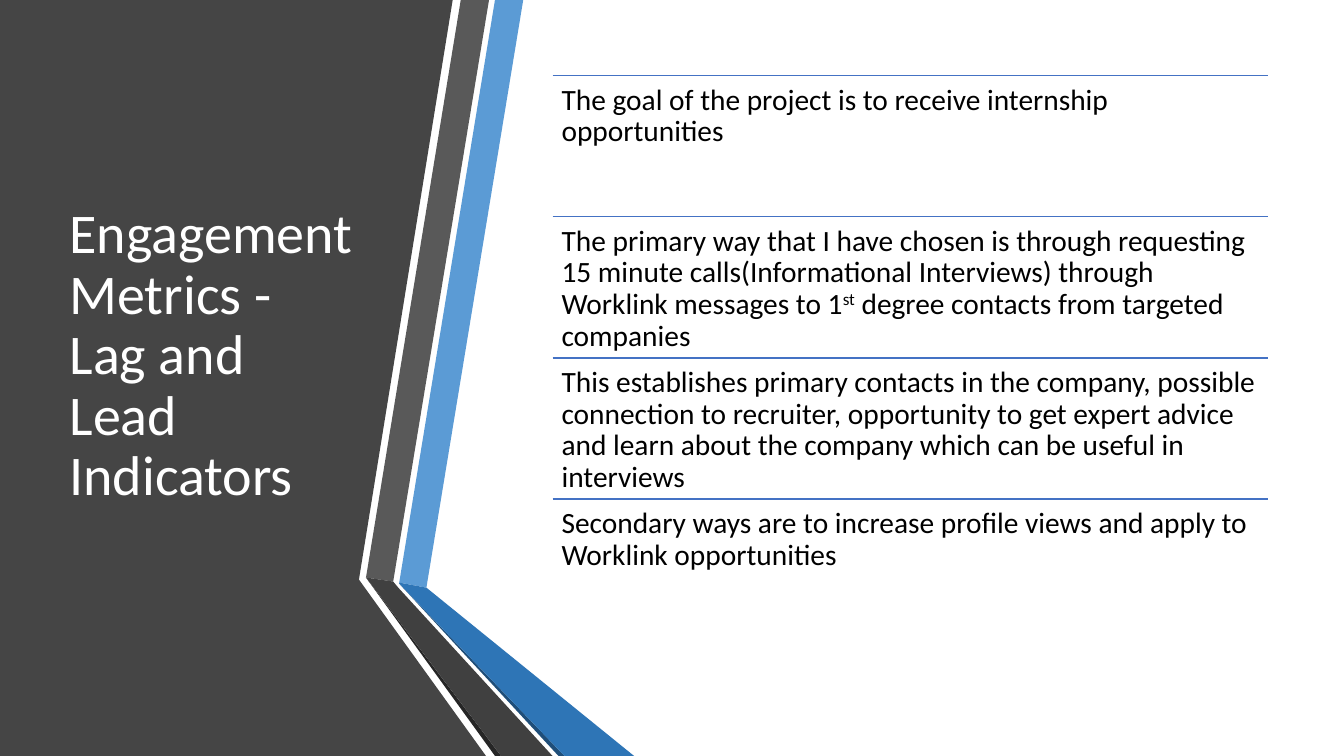
from lxml.etree import SubElement
from pptx import Presentation
from pptx.dml.color import RGBColor
from pptx.enum.shapes import MSO_CONNECTOR
from pptx.enum.text import MSO_ANCHOR, MSO_AUTO_SIZE, PP_ALIGN
from pptx.oxml.ns import qn
from pptx.util import Inches, Pt

WHITE = RGBColor(0xFF, 0xFF, 0xFF)
BLACK = RGBColor(0x00, 0x00, 0x00)
PANEL = RGBColor(0x45, 0x45, 0x45)
GRAY = RGBColor(0x59, 0x59, 0x59)
DARK_GRAY = RGBColor(0x40, 0x40, 0x40)
GRAY_EDGE = RGBColor(0x26, 0x26, 0x26)
BLUE = RGBColor(0x5B, 0x9B, 0xD5)
DARK_BLUE = RGBColor(0x2E, 0x75, 0xB6)
BLUE_EDGE = RGBColor(0x1F, 0x4E, 0x79)
RULE = RGBColor(0x44, 0x72, 0xC4)

RIBBONS = [
    (PANEL, [(0, 0), (4.49, 0), (3.56, 5.75), (4.82, 7.5), (0, 7.5)]),
    (BLUE, [(3.96, 5.78), (4.23, 5.83), (5.19, 0), (4.91, 0)]),
    (GRAY, [(4.85, 0), (4.57, 0), (3.63, 5.73), (3.9, 5.77)]),
    (GRAY_EDGE, [(3.63, 5.73), (4.91, 7.5), (4.97, 7.5)]),
    (BLUE_EDGE, [(3.96, 5.79), (5.54, 7.5), (5.6, 7.5)]),
    (DARK_BLUE, [(3.96, 5.79), (5.6, 7.5), (6.29, 7.5), (4.23, 5.83), (3.96, 5.78)]),
    (DARK_GRAY, [(5.48, 7.5), (3.95, 5.83), (3.9, 5.77), (3.63, 5.73), (4.97, 7.5)]),
]

TITLE = "Engagement Metrics - Lag and Lead Indicators"
POINTS = [
    ["The goal of the project is to receive internship opportunities"],
    ["The primary way that I have chosen is through requesting 15 minute "
     "calls(Informational Interviews) through Worklink messages to 1", "st",
     " degree contacts from targeted companies"],
    ["This establishes primary contacts in the company, possible connection to "
     "recruiter, opportunity to get expert advice and learn about the company "
     "which can be useful in interviews"],
    ["Secondary ways are to increase profile views and apply to Worklink opportunities"],
]
LEFT, TOP, WIDTH, ROW = 5.48, 0.75, 7.1, 1.4


def add_text(p, text, size=21, color=BLACK, font="Calibri", superscript=False):
    """Add a formatted run to a paragraph."""
    r = p.add_run()
    r.text = text
    r.font.size = Pt(size)
    r.font.name = font
    r.font.color.rgb = color
    if superscript:
        r.font._element.set("baseline", "30000")


class SlideBuilder:
    """Draw styled elements on one slide."""

    def __init__(self, s, line_spacing=0.9):
        """Keep the slide and the shared line spacing."""
        self.s = s
        self.line_spacing = line_spacing

    def ribbon(self, color, points):
        """Draw a filled polygon without outline."""
        corners = [(Inches(x), Inches(y)) for x, y in points]
        fb = self.s.shapes.build_freeform(*corners[0], scale=1.0)
        fb.add_line_segments(corners[1:], close=True)
        sp = fb.convert_to_shape()
        sp.shadow.inherit = False
        sp.fill.solid()
        sp.fill.fore_color.rgb = color
        sp.line.fill.background()

    def title(self, text, left, top, width, height):
        """Place the title placeholder in front of the panel."""
        sp = self.s.shapes.title
        self.s.shapes._spTree.append(sp._element)
        sp.left, sp.top = Inches(left), Inches(top)
        sp.width, sp.height = Inches(width), Inches(height)
        tf = sp.text_frame
        tf.word_wrap = True
        tf.auto_size = MSO_AUTO_SIZE.NONE
        tf.vertical_anchor = MSO_ANCHOR.MIDDLE
        p = tf.paragraphs[0]
        p.alignment = PP_ALIGN.LEFT
        p.line_spacing = self.line_spacing
        add_text(p, text, size=40, color=WHITE)

    def rule(self, left, top, width):
        """Draw a thin horizontal line."""
        line = self.s.shapes.add_connector(
            MSO_CONNECTOR.STRAIGHT, Inches(left), Inches(top),
            Inches(left + width), Inches(top))
        line.line.color.rgb = RULE
        line.line.width = Pt(1)
        SubElement(line._element.spPr, qn("a:effectLst"))

    def point(self, parts, left, top, width, height):
        """Write one statement, with every second part raised."""
        sp = self.s.shapes.add_textbox(
            Inches(left), Inches(top), Inches(width), Inches(height))
        tf = sp.text_frame
        tf.word_wrap = True
        tf.margin_left = tf.margin_right = Inches(0.09)
        tf.margin_top = tf.margin_bottom = Inches(0.09)
        p = tf.paragraphs[0]
        p.line_spacing = self.line_spacing
        for i, part in enumerate(parts):
            add_text(p, part, superscript=i % 2 == 1)


def main():
    """Build and save the slide."""
    prs = Presentation()
    prs.slide_width, prs.slide_height = Inches(13.33), Inches(7.5)
    s = prs.slides.add_slide(prs.slide_layouts[5])
    builder = SlideBuilder(s)
    for color, points in RIBBONS:
        builder.ribbon(color, points)
    builder.title(TITLE, 0.59, 0.75, 3.04, 5.58)
    for i, parts in enumerate(POINTS):
        top = TOP + i * ROW
        builder.rule(LEFT, top, WIDTH)
        builder.point(parts, LEFT, top, WIDTH, ROW)
    prs.save("out.pptx")


if __name__ == "__main__":
    main()
